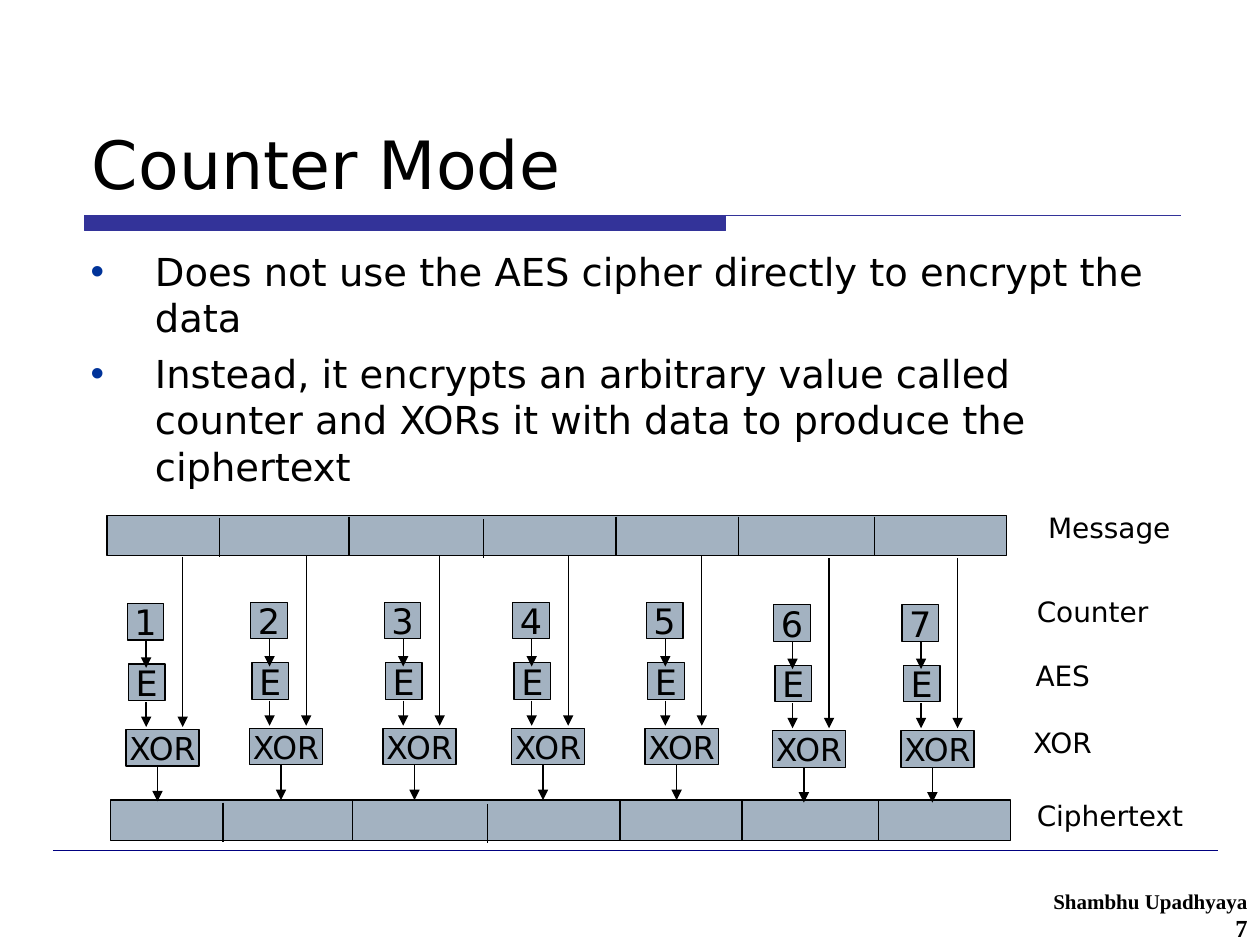
from dataclasses import dataclass

from lxml.etree import SubElement
from pptx import Presentation
from pptx.dml.color import RGBColor
from pptx.enum.shapes import MSO_CONNECTOR, MSO_SHAPE
from pptx.enum.text import MSO_ANCHOR, MSO_AUTO_SIZE, PP_ALIGN
from pptx.oxml.ns import qn
from pptx.slide import Slide
from pptx.util import Inches, Pt

COLORS = {
    "ink": "000000",
    "block": "A3B2C1",
    "accent": "333399",
    "footer_rule": "000080",
    "bullet": "003399",
}
SANS = "DejaVu Sans"
SERIF = "Times New Roman"


@dataclass(frozen=True)
class Stream:
    number: int
    left: float
    drop: float = 0.0


@dataclass(frozen=True)
class Bar:
    left: float
    top: float


@dataclass(frozen=True)
class Label:
    text: str
    left: float
    top: float


@dataclass(frozen=True)
class Stage:
    offset: float
    top: float
    width: float
    size: int


@dataclass(frozen=True)
class Arrow:
    offset: float
    start: float
    end: float


STREAMS = [
    Stream(1, 1.01, 0.01),
    Stream(2, 1.99),
    Stream(3, 3.05),
    Stream(4, 4.07),
    Stream(5, 5.13),
    Stream(6, 6.14, 0.02),
    Stream(7, 7.16, 0.02),
]
COUNTER = Stage(0, 4.78, 0.29, 20)
CIPHER = Stage(0.01, 5.26, 0.29, 20)
XOR = Stage(-0.01, 5.78, 0.58, 18)
ARROWS = [
    Arrow(0.15, 5.07, 5.29),
    Arrow(0.15, 5.56, 5.76),
    Arrow(0.44, 4.41, 5.76),
    Arrow(0.24, 6.07, 6.35),
]
BARS = [Bar(0.85, 4.09), Bar(0.88, 6.35)]
DIVIDERS = [0.89, 1.92, 2.99, 4.04, 5.01, 6.09]
DIVIDER_DROPS = [0.02, 0.01, 0.03, 0.01, 0.01, 0.01]
LABELS = [
    Label("Message", 8.22, 4.0),
    Label("Counter", 8.13, 4.67),
    Label("AES", 8.12, 5.18),
    Label("XOR", 8.1, 5.71),
    Label("Ciphertext", 8.13, 6.29),
]
BULLETS = [
    "Does not use the AES cipher directly to encrypt the data",
    "Instead, it encrypts an arbitrary value called counter and XORs it "
    "with data to produce the ciphertext",
]


def color(name: str) -> RGBColor:
    return RGBColor.from_string(COLORS[name])


def apply(target, **values) -> None:
    for name, value in values.items():
        setattr(target, name, value)


def write(para, text: str, size: int, font: str = SANS, bold: bool = False) -> None:
    span = para.add_run()
    span.text = text
    apply(span.font, name=font, size=Pt(size), bold=bold)
    span.font.color.rgb = color("ink")


def place(shape, left: float, top: float, width: float, height: float) -> None:
    apply(shape, left=Inches(left), top=Inches(top),
          width=Inches(width), height=Inches(height))


def add_block(page: Slide, left: float, top: float, width: float, height: float):
    block = page.shapes.add_shape(
        MSO_SHAPE.RECTANGLE, Inches(left), Inches(top), Inches(width), Inches(height))
    block.shadow.inherit = False
    block.fill.solid()
    block.fill.fore_color.rgb = color("block")
    block.line.color.rgb = color("ink")
    block.line.width = Pt(0.75)
    return block


def add_line(page: Slide, start: tuple[float, float], end: tuple[float, float],
             tint: str = "ink", weight: float = 0.75, arrow: bool = False) -> None:
    line = page.shapes.add_connector(
        MSO_CONNECTOR.STRAIGHT, *map(Inches, start), *map(Inches, end))
    line.line.color.rgb = color(tint)
    line.line.width = Pt(weight)
    if arrow:
        SubElement(line.line._get_or_add_ln(), qn("a:tailEnd"), type="triangle")
    SubElement(line._element.spPr, qn("a:effectLst"))


def add_stage(page: Slide, stream: Stream, stage: Stage, text: str) -> None:
    block = add_block(page, stream.left + stage.offset, stage.top + stream.drop,
                      stage.width, 0.29)
    apply(block.text_frame, word_wrap=False, vertical_anchor=MSO_ANCHOR.MIDDLE)
    para = block.text_frame.paragraphs[0]
    para.alignment = PP_ALIGN.CENTER
    write(para, text, stage.size)


def add_stream(page: Slide, stream: Stream) -> None:
    add_stage(page, stream, COUNTER, str(stream.number))
    add_stage(page, stream, CIPHER, "E")
    add_stage(page, stream, XOR, "XOR")
    for arrow in ARROWS:
        x = stream.left + arrow.offset
        add_line(page, (x, arrow.start + stream.drop), (x, arrow.end + stream.drop),
                 arrow=True)


def add_bar(page: Slide, bar: Bar) -> None:
    add_block(page, bar.left, bar.top, 7.14, 0.32)
    for offset, drop in zip(DIVIDERS, DIVIDER_DROPS):
        x, y = bar.left + offset, bar.top + drop
        add_line(page, (x, y), (x, y + 0.31))


def add_label(page: Slide, label: Label) -> None:
    box = page.shapes.add_textbox(
        Inches(label.left), Inches(label.top), Inches(1.78), Inches(0.37))
    box.text_frame.word_wrap = True
    para = box.text_frame.paragraphs[0]
    para.space_before = Pt(10)
    write(para, label.text, 16)


def add_title_rule(page: Slide) -> None:
    left, middle, right, top, bottom = map(Inches, (0.67, 5.76, 9.37, 1.71, 1.83))
    builder = page.shapes.build_freeform(left, top)
    builder.add_line_segments([(middle, top), (middle, bottom), (left, bottom)])
    builder.move_to(left, top)
    builder.add_line_segments([(right, top)], close=False)
    rule = builder.convert_to_shape()
    rule.shadow.inherit = False
    rule.fill.solid()
    rule.fill.fore_color.rgb = color("accent")
    rule.line.color.rgb = color("accent")
    rule.line.width = Pt(0.75)


def add_footer(page: Slide) -> None:
    add_line(page, (0.42, 6.75), (9.67, 6.75), "footer_rule", 0.25)
    box = page.shapes.add_textbox(Inches(7.75), Inches(7), Inches(2.25), Inches(0.5))
    frame = box.text_frame
    frame.word_wrap = True
    for para, text, size in ((frame.paragraphs[0], "Shambhu Upadhyaya", 12),
                             (frame.add_paragraph(), "7", 14)):
        para.alignment = PP_ALIGN.RIGHT
        write(para, text, size, SERIF, True)


def fill_title(title) -> None:
    place(title, 0.63, 0.33, 8.75, 1.33)
    apply(title.text_frame, vertical_anchor=MSO_ANCHOR.BOTTOM,
          auto_size=MSO_AUTO_SIZE.NONE)
    para = title.text_frame.paragraphs[0]
    para.alignment = PP_ALIGN.LEFT
    write(para, "Counter Mode", 38)


def fill_body(body) -> None:
    place(body, 0.62, 1.92, 8.75, 2.01)
    frame = body.text_frame
    frame.auto_size = MSO_AUTO_SIZE.NONE
    for index, text in enumerate(BULLETS):
        para = frame.add_paragraph() if index else frame.paragraphs[0]
        para.space_before = Pt(5.5)
        write(para, text, 22)
        properties = para._p.get_or_add_pPr()
        properties.set("marL", str(Inches(0.51)))
        properties.set("indent", str(-Inches(0.51)))
        tint = SubElement(properties, qn("a:buClr"))
        SubElement(tint, qn("a:srgbClr"), val=COLORS["bullet"])
        SubElement(properties, qn("a:buChar"), char="•")


def main() -> None:
    deck = Presentation()
    apply(deck, slide_width=Inches(10), slide_height=Inches(7.5))
    page = deck.slides.add_slide(deck.slide_layouts[1])
    add_title_rule(page)
    add_footer(page)
    fill_title(page.shapes.title)
    fill_body(page.placeholders[1])
    for bar in BARS:
        add_bar(page, bar)
    for stream in STREAMS:
        add_stream(page, stream)
    for label in LABELS:
        add_label(page, label)
    deck.save("out.pptx")


if __name__ == "__main__":
    main()
